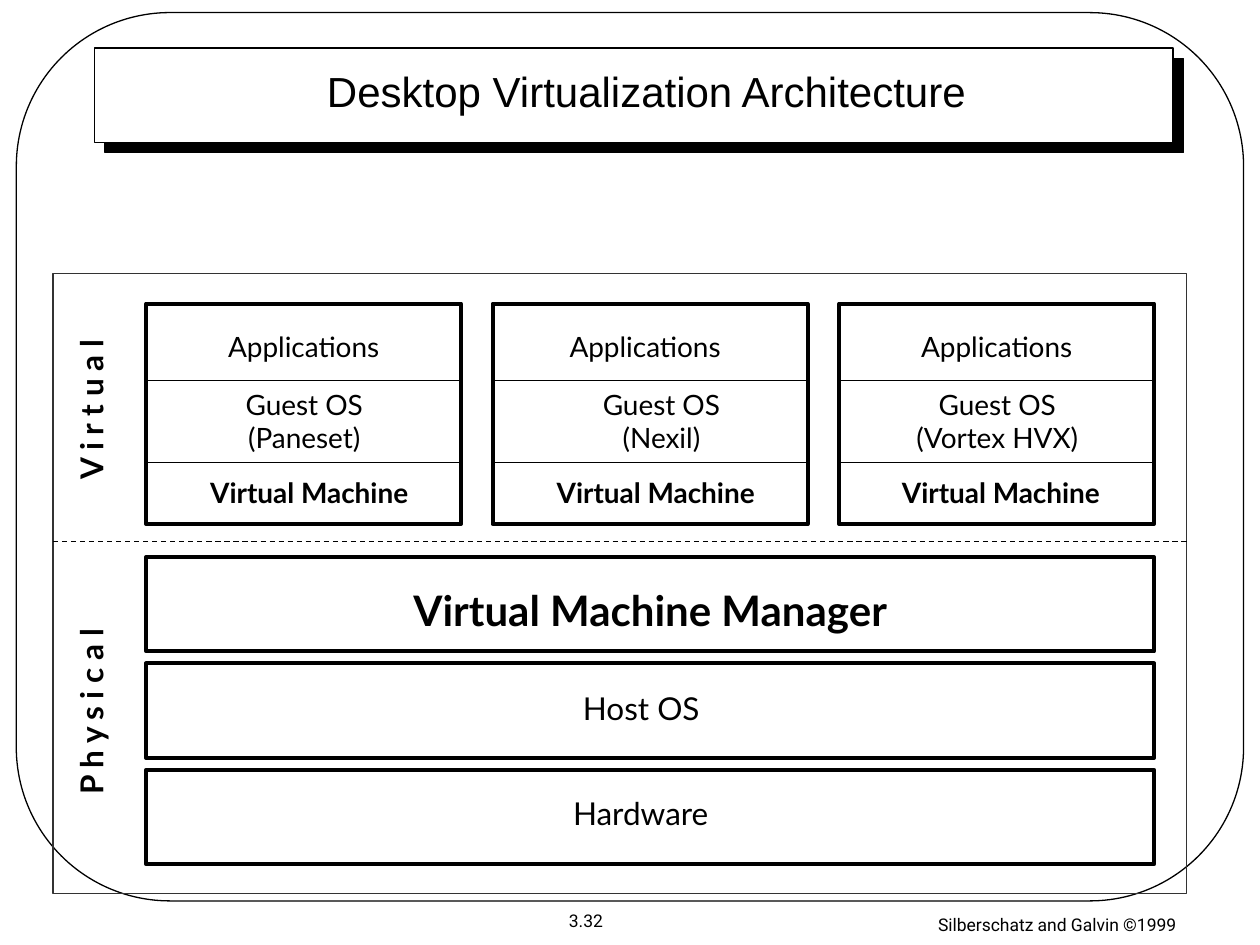
import pptx
import pptx.dml.color
import pptx.enum.dml
import pptx.enum.shapes
import pptx.enum.text
import pptx.oxml
import pptx.oxml.ns
import pptx.util

presentation = pptx.Presentation()
presentation.slide_width = pptx.util.Inches(10)
presentation.slide_height = pptx.util.Inches(7.5)
slide = presentation.slides.add_slide(presentation.slide_layouts[6])

# The slide is a grid of 100 columns by 75 rows of square cells.
cell = presentation.slide_width // 100
RECTANGLE = pptx.enum.shapes.MSO_SHAPE.RECTANGLE
ROUNDED = pptx.enum.shapes.MSO_SHAPE.ROUNDED_RECTANGLE
BLACK = "000000"


def color(hex_string):
    return pptx.dml.color.RGBColor.from_string(hex_string)


def add_text(text, center, middle, width, height, size=16, font="Lato",
             bold=False, rotation=0, wrap=True):
    """Add centred text around a point given in grid cells."""
    box = slide.shapes.add_textbox(
        round((center - width / 2) * cell), round((middle - height / 2) * cell),
        round(width * cell), round(height * cell))
    box.rotation = rotation
    frame = box.text_frame
    frame.word_wrap = wrap
    frame.vertical_anchor = pptx.enum.text.MSO_ANCHOR.MIDDLE
    paragraph = frame.paragraphs[0]
    paragraph.text = text
    paragraph.alignment = pptx.enum.text.PP_ALIGN.CENTER
    for run in paragraph.runs:
        run.font.name = font
        run.font.size = pptx.util.Pt(size)
        run.font.bold = bold
        run.font.color.rgb = color(BLACK)


# Grid of the diagram
frame_left, frame_top, frame_width, frame_height = 4.2, 21.7, 90, 49.2
stack_left, stack_width = 11.6, 80
machine_top, machine_width, machine_height = 24.1, 25, 17.5
machine_step = (stack_width - machine_width) / 2
machine_lefts = [stack_left + machine_step * index for index in range(3)]
layer_top, layer_height, layer_step = 44.2, 7.5, 8.45
layer_tops = [layer_top + layer_step * index for index in range(3)]

# Boxes: preset, left, top, width, height, line colour, line width
boxes = [
    (RECTANGLE, 7.5, 3.8, 85.6, 7.5, BLACK, 0.75),
    (ROUNDED, 1.3, 1, 97.4, 70.5, BLACK, 0.75),
    (RECTANGLE, frame_left, frame_top, frame_width, frame_height, "333333", 0.75),
]
boxes += [(RECTANGLE, stack_left, top, stack_width, layer_height, BLACK, 2.25)
          for top in layer_tops]
boxes += [(RECTANGLE, left, machine_top, machine_width, machine_height, BLACK, 2.25)
          for left in machine_lefts]

shapes = []
for preset, left, top, width, height, line_color, line_width in boxes:
    shape = slide.shapes.add_shape(
        preset, *(round(length * cell) for length in (left, top, width, height)))
    shape.shadow.inherit = False
    shape.fill.background()
    shape.line.color.rgb = color(line_color)
    shape.line.width = pptx.util.Pt(line_width)
    shapes.append(shape)

title_box, page_border = shapes[:2]
page_border.adjustments[0] = 0.173
title_box.fill.solid()
title_box.fill.fore_color.rgb = color("FFFFFF")
title_effects = title_box._element.spPr.find(pptx.oxml.ns.qn("a:effectLst"))
title_effects.append(pptx.oxml.parse_xml(
    f'<a:outerShdw {pptx.oxml.ns.nsdecls("a")} dist="{pptx.util.Pt(8.5)}" '
    'dir="2700000" algn="ctr" rotWithShape="0">'
    f'<a:srgbClr val="{BLACK}"/></a:outerShdw>'))

# Lines: left, row, length, dash
dash = pptx.enum.dml.MSO_LINE.DASH
lines = [(left, row, machine_width, None)
         for left in machine_lefts for row in (30.2, 36.7)]
lines.append((frame_left, 43, frame_width, dash))
for left, row, length, dash_style in lines:
    line = slide.shapes.add_connector(
        pptx.enum.shapes.MSO_CONNECTOR.STRAIGHT, round(left * cell),
        round(row * cell), round((left + length) * cell), round(row * cell))
    line.line.color.rgb = color(BLACK)
    line.line.width = pptx.util.Pt(0.75)
    line.line.dash_style = dash_style
    line._element.spPr.append(
        pptx.oxml.parse_xml(f'<a:effectLst {pptx.oxml.ns.nsdecls("a")}/>'))

# Virtual machines: guest name, text centres of applications, guest and machine
machines = [
    ("Paneset", 24.1, 24.15, 24.55),
    ("Nexil", 51.2, 52.5, 52.05),
    ("Vortex HVX", 79.1, 79.15, 79.45),
]
for guest, application_center, guest_center, machine_center in machines:
    add_text("Applications", application_center, 27.45, 20.8, 3.7)
    add_text(f"Guest OS\v({guest})", guest_center, 33.4, 25.8, 6.4)
    add_text("Virtual Machine", machine_center, 39.05, 23.3, 3.7, bold=True)

# Physical layers
add_text("Virtual Machine Manager", 51.6, 48.35, 75.8, 5.1, size=24, bold=True)
add_text("Host OS", 50.9, 56.2, 67.5, 4, size=18)
add_text("Hardware", 50.85, 64.5, 68.3, 4, size=18)

# Side labels, reading upwards
for label, middle, length in (("V i r t u a l", 32.5, 15), ("P h y s i c a l", 56.5, 19.2)):
    add_text(label, 7.2, middle, length, 5, size=18, bold=True, rotation=270, wrap=False)

# Title and footer
add_text("Desktop Virtualization Architecture", 51.3, 7.2, 53.5, 5,
         size=24, font="Arial", wrap=False)
add_text("3.32", 46.5, 73.05, 4.9, 2.7, size=10, font="Roboto", wrap=False)
add_text("Silberschatz and Galvin ©1999", 83.9, 73.4, 31.7, 3.5, size=10, font="Roboto")

presentation.save("out.pptx")
